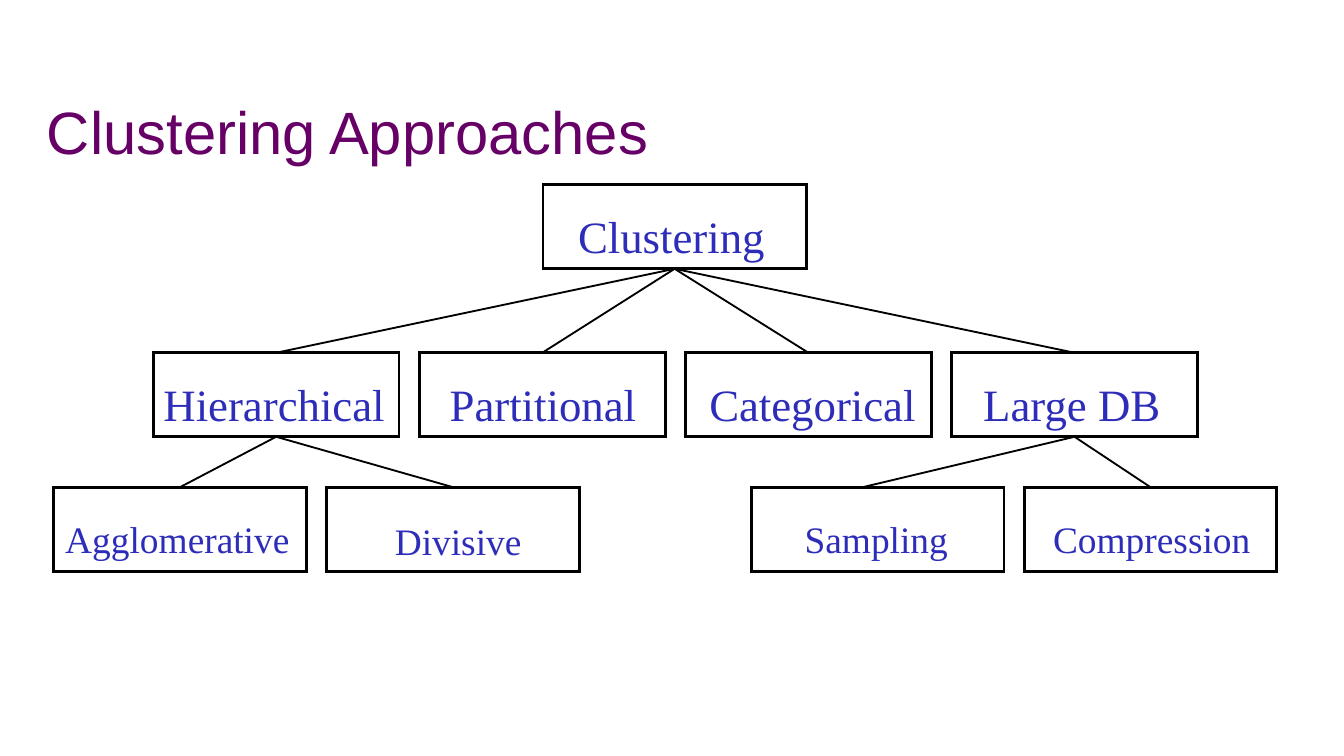
from dataclasses import dataclass

from lxml import etree
from pptx import Presentation
from pptx.dml.color import RGBColor
from pptx.enum.shapes import MSO_CONNECTOR, MSO_SHAPE
from pptx.enum.text import MSO_ANCHOR, PP_ALIGN
from pptx.oxml.ns import qn
from pptx.util import Inches, Pt

RECTANGLE = MSO_SHAPE.RECTANGLE
STRAIGHT = MSO_CONNECTOR.STRAIGHT
CENTER = PP_ALIGN.CENTER
MIDDLE = MSO_ANCHOR.MIDDLE
TOP_SIDE, BOTTOM_SIDE = 0, 2
BOX_HEIGHT = 5 / 8
ROOT_TOP, BRANCH_TOP, LEAF_TOP = 11 / 8, 21 / 8, 29 / 8


@dataclass(frozen=True)
class Theme:
    """Colours, fonts and sizes of the slide."""
    title_color: RGBColor = RGBColor(0x66, 0x00, 0x66)
    label_color: RGBColor = RGBColor(0x2D, 0x2D, 0xB9)
    line_color: RGBColor = RGBColor(0x00, 0x00, 0x00)
    title_font: str = "Arial"
    label_font: str = "Times New Roman"
    title_size: int = 32
    branch_size: int = 24
    leaf_size: int = 20
    border_width: float = 1.5
    link_width: float = 1


THEME = Theme()

ROOT = ("Clustering", 4.04, 1.96, 4.02, 1.95)
BRANCHES = [
    ("Hierarchical", 1.11, 1.86),
    ("Partitional", 3.24, 1.6),
    ("Categorical", 5.17, 1.75),
    ("Large DB", 7.21, 1.53),
]
LEAVES = [
    ("Agglomerative", "Hierarchical", 0.4, 0.38, 3.79, 1.88),
    ("Divisive", "Hierarchical", 2.43, 2.83, 3.81, 1.16),
    ("Sampling", "Large DB", 5.59, 5.88, 3.79, 1.28),
    ("Compression", "Large DB", 7.62, 7.73, 3.79, 1.68),
]


def style_text(paragraph, font_name, size, color):
    """Apply font, size and colour to the runs of a paragraph."""
    for run in paragraph.runs:
        run.font.name = font_name
        run.font.size = Pt(size)
        run.font.color.rgb = color


def add_title(slide, text):
    """Add the slide title."""
    shape = slide.shapes.add_textbox(Inches(0.35), Inches(0.74), Inches(9.44), Inches(0.47))
    frame = shape.text_frame
    frame.word_wrap = True
    frame.vertical_anchor = MIDDLE
    frame.margin_left = frame.margin_right = frame.margin_top = frame.margin_bottom = 0
    frame.text = text
    style_text(frame.paragraphs[0], THEME.title_font, THEME.title_size, THEME.title_color)


def add_label(slide, text, left, top, width, size):
    """Add a centred label on one line."""
    height = 0.38 if size == THEME.branch_size else 0.33
    shape = slide.shapes.add_textbox(Inches(left), Inches(top), Inches(width), Inches(height))
    frame = shape.text_frame
    frame.word_wrap = False
    frame.text = text
    paragraph = frame.paragraphs[0]
    paragraph.alignment = CENTER
    style_text(paragraph, THEME.label_font, size, THEME.label_color)


def add_box(slide, left, top, width):
    """Add an unfilled box with sharp corners and return it."""
    box = slide.shapes.add_shape(
        RECTANGLE, Inches(left), Inches(top), Inches(width), Inches(BOX_HEIGHT))
    box.shadow.inherit = False
    box.fill.background()
    box.line.color.rgb = THEME.line_color
    box.line.width = Pt(THEME.border_width)
    outline = box._element.spPr.find(qn("a:ln"))
    etree.SubElement(outline, qn("a:miter"), lim="800000")
    return box


def add_link(slide, parent, child, end_x=None):
    """Link a parent box to its child, or to a given point on the child's top."""
    end = child.left if end_x is None else Inches(end_x)
    link = slide.shapes.add_connector(STRAIGHT, parent.left, parent.top, end, child.top)
    link.begin_connect(parent, BOTTOM_SIDE)
    if end_x is None:
        link.end_connect(child, TOP_SIDE)
    link.line.color.rgb = THEME.line_color
    link.line.width = Pt(THEME.link_width)
    properties = link._element.find(qn("p:spPr"))
    etree.SubElement(properties, qn("a:effectLst"))


def main():
    """Build and save the clustering tree."""
    presentation = Presentation()
    presentation.slide_width = Inches(10)
    presentation.slide_height = Inches(10 * 9 / 16)
    slide = presentation.slides.add_slide(presentation.slide_layouts[6])
    add_title(slide, "Clustering Approaches")

    name, left, width, label_left, label_width = ROOT
    root = add_box(slide, left, ROOT_TOP, width)
    add_label(slide, name, label_left, 1.5, label_width, THEME.branch_size)

    branches = {}
    for index, (name, label_left, label_width) in enumerate(BRANCHES):
        branches[name] = add_box(slide, 1.14 + index * 1.98, BRANCH_TOP, 1.83)
        add_label(slide, name, label_left, 2.75, label_width, THEME.branch_size)
        add_link(slide, root, branches[name])

    for name, parent, left, label_left, label_top, label_width in LEAVES:
        leaf = add_box(slide, left, LEAF_TOP, 1.88)
        add_label(slide, name, label_left, label_top, label_width, THEME.leaf_size)
        add_link(slide, branches[parent], leaf, 6.42 if name == "Sampling" else None)

    presentation.save("out.pptx")


if __name__ == "__main__":
    main()
